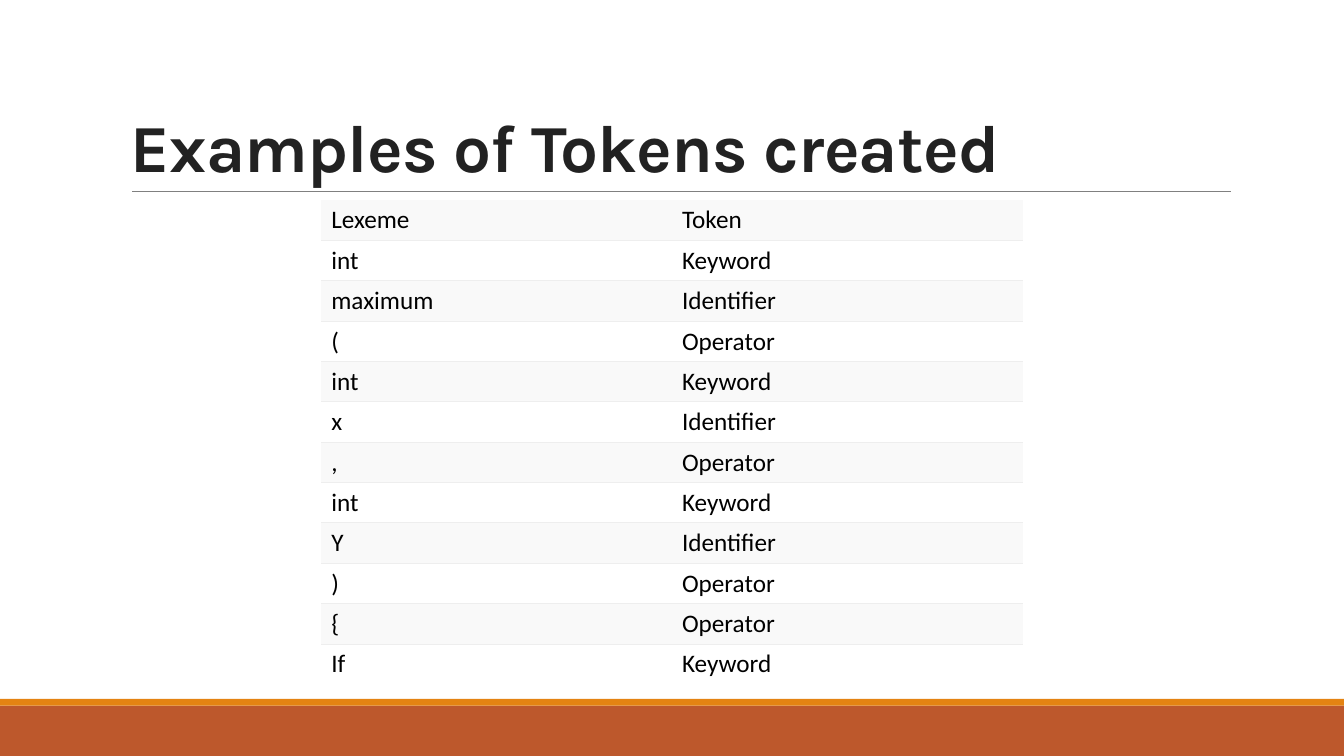
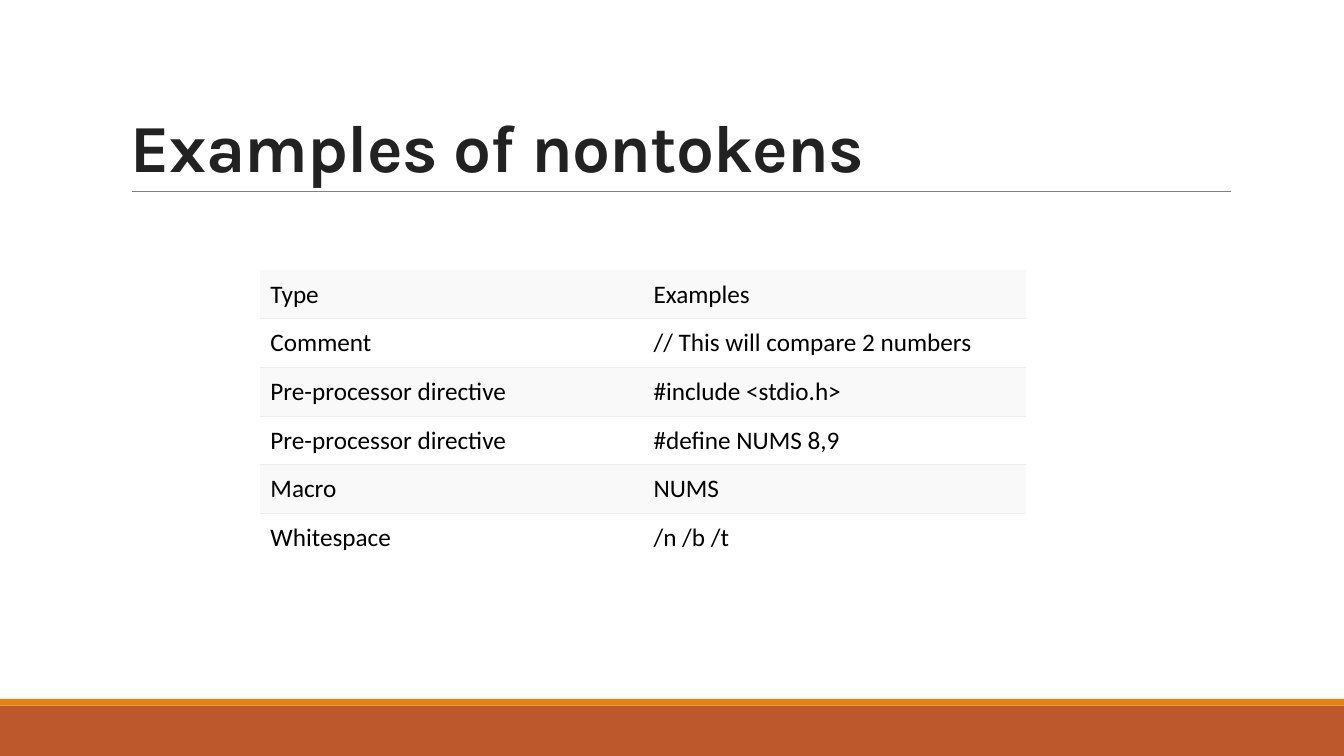
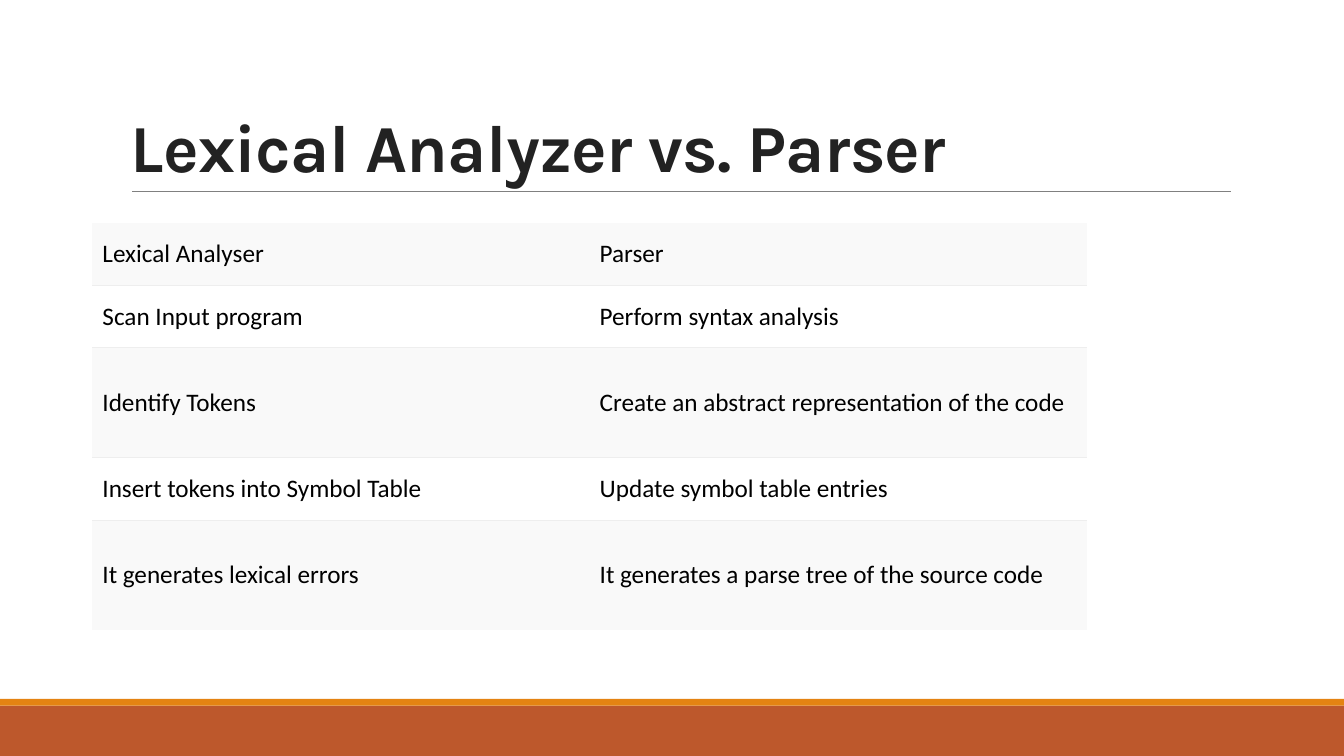
from lxml.etree import SubElement
from pptx import Presentation
from pptx.dml.color import RGBColor
from pptx.enum.shapes import MSO_CONNECTOR as Connector, MSO_SHAPE as Shape
from pptx.enum.text import MSO_ANCHOR as Anchor
from pptx.oxml.ns import qn
from pptx.util import Inches, Pt

COLUMNS, ROWS = 160, 90  # square grid cells, 12 to the inch


def grid(cells):
    return Inches(cells / 12)


def color(hex_code):
    return RGBColor.from_string(hex_code)


class Deck:
    TITLE_FONT, BODY_FONT = "Karla", "Calibri"
    TITLE, BODY, RULE, BORDER = "222222", "000000", "808080", "EEEEEE"
    FOOTER, ACCENT = "BD582C", "E48312"
    STRIPES = ("F9F9F9", "FFFFFF")

    def __init__(self):
        self.file = Presentation()
        self.file.slide_width = grid(COLUMNS)
        self.file.slide_height = grid(ROWS)
        self.slide = None

    def start_slide(self, title):
        self.slide = self.file.slides.add_slide(self.file.slide_layouts[6])
        self.band(84, 6, self.FOOTER)
        self.band(83.2, 0.8, self.ACCENT)
        self.rule(15.75, 146.5, 22.8)
        self.title(title)

    def band(self, top, height, fill):
        band = self.slide.shapes.add_shape(
            Shape.RECTANGLE, 0, grid(top), grid(COLUMNS), grid(height))
        band.shadow.inherit = False
        band.fill.solid()
        band.fill.fore_color.rgb = color(fill)
        band.line.fill.background()

    def rule(self, left, right, top):
        rule = self.slide.shapes.add_connector(
            Connector.STRAIGHT, grid(left), grid(top), grid(right), grid(top))
        rule.line.color.rgb = color(self.RULE)
        rule.line.width = Pt(0.5)
        SubElement(rule._element.spPr, qn("a:effectLst"))

    def title(self, text):
        frame = self.slide.shapes.add_textbox(
            grid(14.4), grid(3.75), grid(132), grid(19.05)).text_frame
        frame.word_wrap = True
        frame.vertical_anchor = Anchor.BOTTOM
        heading = frame.paragraphs[0]
        heading.line_spacing = 0.85
        run = heading.add_run()
        run.text = text
        run._r.get_or_add_rPr().set("spc", "-50")
        self.set_font(heading, self.TITLE_FONT, 48, self.TITLE, True)

    def set_font(self, paragraph, name, size, hex_code, bold=False):
        font = paragraph.font
        font.name, font.size, font.bold = name, Pt(size), bold
        font.color.rgb = color(hex_code)

    def table(self, left, top, width, heights, entries):
        """Draw a striped table with one grid height for each row of entries."""
        columns = len(entries[0])
        table = self.slide.shapes.add_table(
            len(entries), columns, grid(left), grid(top),
            grid(width), grid(sum(heights))).table
        for column in table.columns:
            column.width = grid(width / columns)
        last = len(entries) - 1
        for index, (height, entry) in enumerate(zip(heights, entries)):
            table.rows[index].height = grid(height)
            for cell, text in zip(table.rows[index].cells, entry):
                self.borders(cell, above=index > 0, below=index < last)
                cell.fill.solid()
                cell.fill.fore_color.rgb = color(self.STRIPES[index % 2])
                cell.vertical_anchor = Anchor.MIDDLE
                cell.text = text
                self.set_font(cell.text_frame.paragraphs[0],
                              self.BODY_FONT, 18, self.BODY)

    def borders(self, cell, above, below):
        """Rule off the cell from its neighbours above and below only."""
        properties = cell._tc.get_or_add_tcPr()
        sides = {"L": False, "R": False, "T": above, "B": below}
        for side, drawn in sides.items():
            line = SubElement(properties, qn(f"a:ln{side}"), w=str(Pt(0.6)))
            if drawn:
                fill = SubElement(line, qn("a:solidFill"))
                SubElement(fill, qn("a:srgbClr"), val=self.BORDER)
            else:
                SubElement(line, qn("a:noFill"))


def main():
    deck = Deck()

    deck.start_slide("Examples of Tokens created")
    tokens = [
        ("Lexeme", "Token"),
        ("int", "Keyword"),
        ("maximum", "Identifier"),
        ("(", "Operator"),
        ("int", "Keyword"),
        ("x", "Identifier"),
        (",", "Operator"),
        ("int", "Keyword"),
        ("Y", "Identifier"),
        (")", "Operator"),
        ("{", "Operator"),
        ("If", "Keyword"),
    ]
    deck.table(38.25, 23.8, 83.5, [4.8] * len(tokens), tokens)

    deck.start_slide("Examples of nontokens")
    nontokens = [
        ("Type", "Examples"),
        ("Comment", "// This will compare 2 numbers"),
        ("Pre-processor directive", "#include <stdio.h>"),
        ("Pre-processor directive", "#define NUMS 8,9"),
        ("Macro", "NUMS"),
        ("Whitespace", "/n /b /t"),
    ]
    deck.table(31, 32.15, 91.2, [5.8] * len(nontokens), nontokens)

    deck.start_slide("Lexical Analyzer vs. Parser")
    single, double = 7.45, 13.1
    deck.table(11, 26.5, 118.4, [single, single, double, single, double], [
        ("Lexical Analyser", "Parser"),
        ("Scan Input program", "Perform syntax analysis"),
        ("Identify Tokens", "Create an abstract representation of the code"),
        ("Insert tokens into Symbol Table", "Update symbol table entries"),
        ("It generates lexical errors",
         "It generates a parse tree of the source code"),
    ])

    deck.file.save("out.pptx")


if __name__ == "__main__":
    main()
